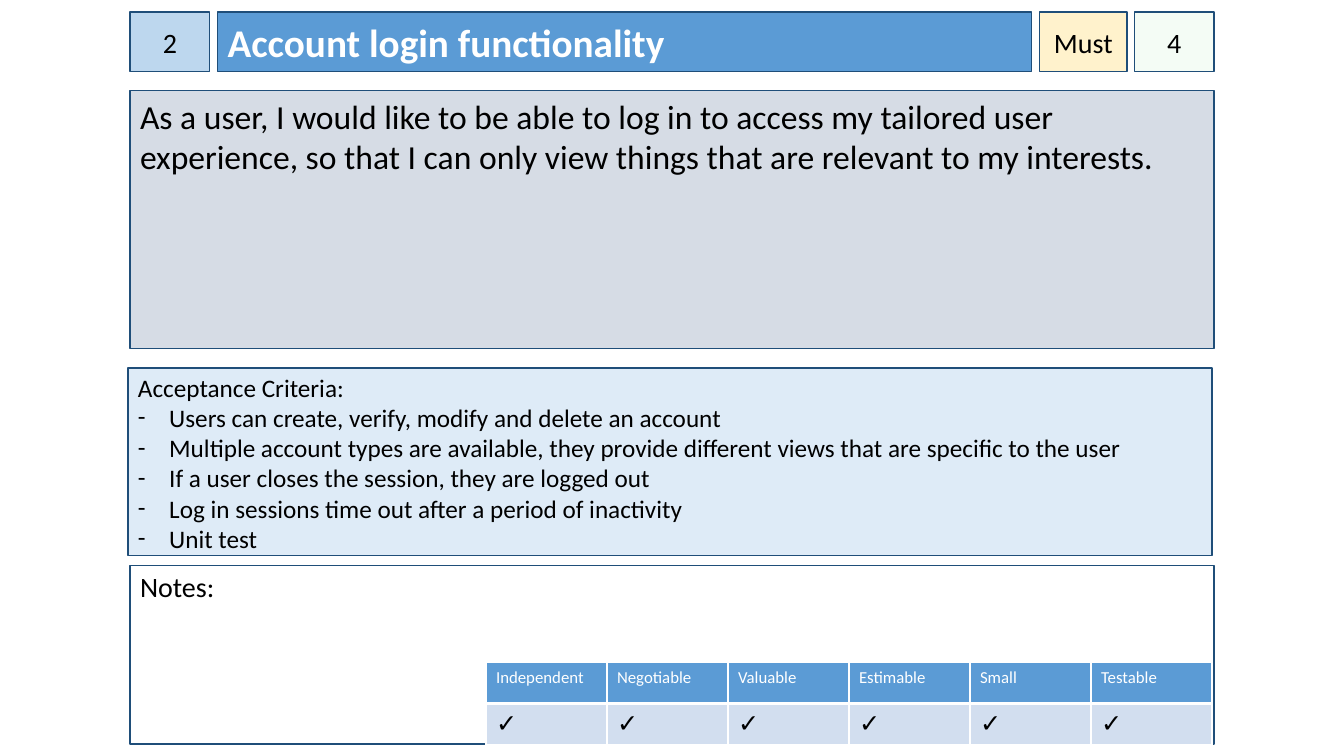
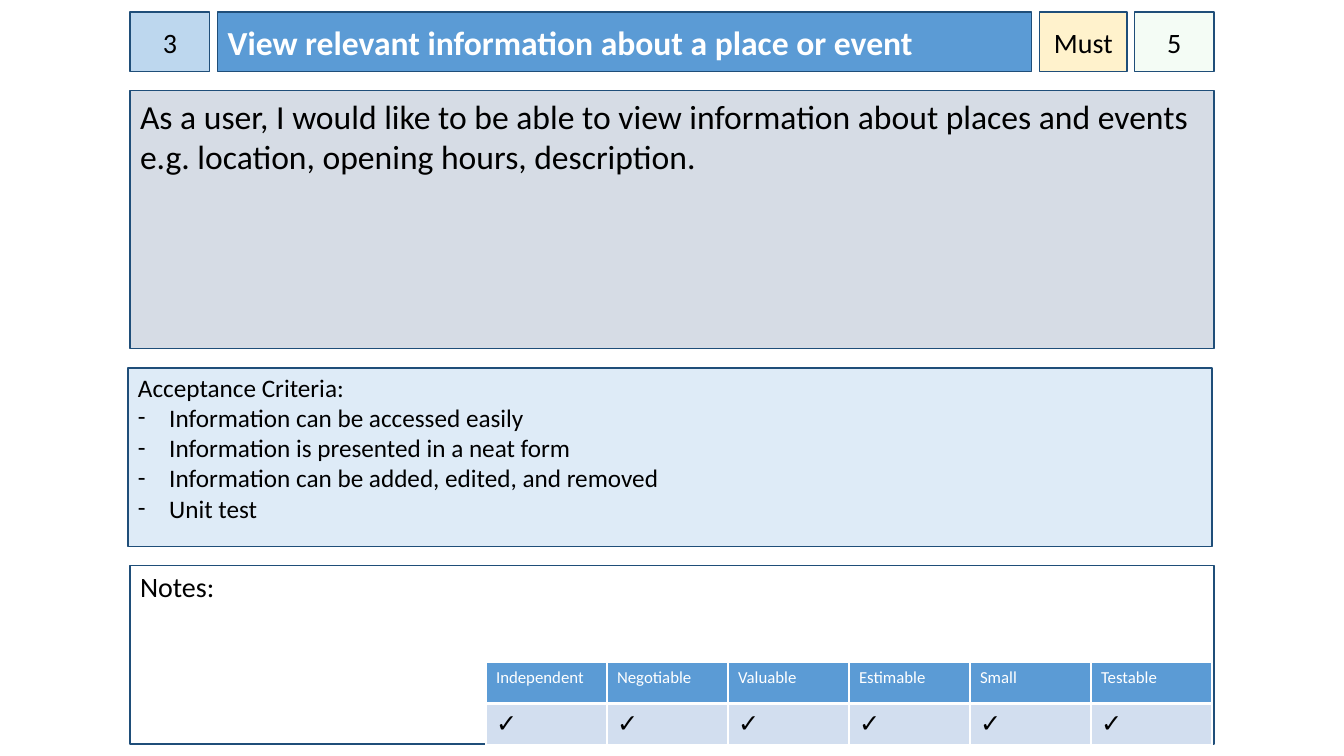
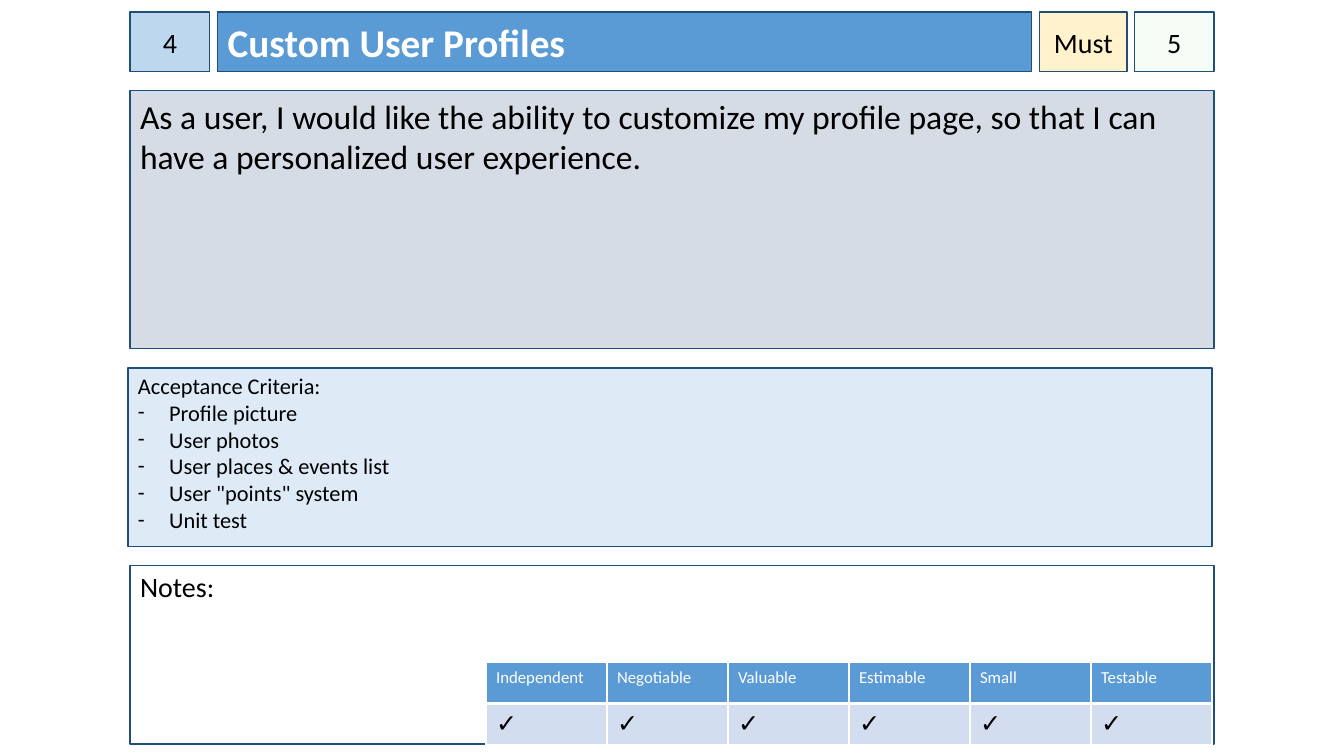
from dataclasses import dataclass

from lxml.etree import SubElement
from pptx import Presentation
from pptx.dml.color import RGBColor
from pptx.enum.shapes import MSO_SHAPE as Preset
from pptx.enum.text import MSO_ANCHOR as Anchor, PP_ALIGN as Align
from pptx.oxml.ns import qn
from pptx.util import Inches, Pt

FONT = "Calibri"
BLACK = RGBColor(0x00, 0x00, 0x00)
WHITE = RGBColor(0xFF, 0xFF, 0xFF)
NAVY = RGBColor(0x1F, 0x4E, 0x79)
BLUE = RGBColor(0x5B, 0x9B, 0xD5)
SKY = RGBColor(0xBD, 0xD7, 0xEE)
GREY = RGBColor(0xD6, 0xDC, 0xE5)
ICE = RGBColor(0xDE, 0xEB, 0xF7)
GREEN = RGBColor(0xCC, 0xF0, 0xCD)
CREAM = RGBColor(0xFF, 0xF2, 0xCC)
PALE = RGBColor(0xD2, 0xDE, 0xEF)

LEFT, WIDTH = 1.29, 10.75
TOP, BAND = 0.12, 0.59
TABLE_LEFT, TABLE_TOP = 4.82, 6.57
COLUMN, ROW = 1.2, 0.41
CHECKS = ("Independent", "Negotiable", "Valuable", "Estimable", "Small", "Testable")


@dataclass(frozen=True)
class Style:
    fill: RGBColor
    size: int
    color: RGBColor = BLACK
    bold: bool = False
    align: Align = Align.LEFT
    anchor: Anchor = Anchor.TOP
    side: float = 0.1
    inset_top: float = 0.05
    wrap: bool = True
    opacity: int = 100


@dataclass(frozen=True)
class Story:
    number: int
    title: str
    points: int
    text: str
    criteria: tuple[str, ...]
    title_size: int = 28
    criteria_size: int = 18
    criteria_height: float = 1.77
    priority: str = "Must"


STORIES = (
    Story(
        2, "Account login functionality", 4,
        "As a user, I would like to be able to log in to access my tailored user "
        "experience, so that I can only view things that are relevant to my interests.",
        (
            "Users can create, verify, modify and delete an account",
            "Multiple account types are available, they provide different views "
            "that are specific to the user",
            "If a user closes the session, they are logged out",
            "Log in sessions time out after a period of inactivity",
            "Unit test",
        ),
        criteria_height=1.86,
    ),
    Story(
        3, "View relevant information about a place or event", 5,
        "As a user, I would like to be able to view information about places and "
        "events e.g. location, opening hours, description.",
        (
            "Information can be accessed easily",
            "Information is presented in a neat form",
            "Information can be added, edited, and removed",
            "Unit test",
        ),
        title_size=24,
    ),
    Story(
        4, "Custom User Profiles", 5,
        "As a user, I would like the ability to customize my profile page, so that "
        "I can have a personalized user experience.",
        (
            "Profile picture",
            "User photos",
            "User places & events list",
            'User "points" system',
            "Unit test",
        ),
        criteria_size=16,
    ),
)


def apply(target, values: dict) -> None:
    for name, value in values.items():
        setattr(target, name, value)


def write(para, text: str, size: int, color: RGBColor, bold: bool = False) -> None:
    span = para.add_run()
    span.text = text
    apply(span.font, {"name": FONT, "size": Pt(size), "bold": bold})
    span.font.color.rgb = color


def add_dash(para) -> None:
    props = para._p.get_or_add_pPr()
    props.set("marL", str(Inches(0.31)))
    props.set("indent", str(Inches(-0.31)))
    SubElement(props, qn("a:buFont"), typeface=FONT)
    SubElement(props, qn("a:buChar"), char="-")


def add_box(page, left: float, top: float, width: float, height: float,
            style: Style, text: str, bullets: tuple[str, ...] = ()) -> None:
    box = page.shapes.add_shape(
        Preset.RECTANGLE, Inches(left), Inches(top), Inches(width), Inches(height))
    box.shadow.inherit = False
    box.fill.solid()
    box.fill.fore_color.rgb = style.fill
    if style.opacity < 100:
        color = box.fill._xPr.find(qn("a:solidFill"))[0]
        SubElement(color, qn("a:alpha"), val=str(style.opacity * 1000))
    box.line.color.rgb = NAVY
    box.line.width = Pt(1)
    frame = box.text_frame
    apply(frame, {
        "word_wrap": style.wrap,
        "vertical_anchor": style.anchor,
        "margin_left": Inches(style.side),
        "margin_right": Inches(style.side),
        "margin_top": Inches(style.inset_top),
        "margin_bottom": Inches(0.05),
    })
    for index, line in enumerate((text, *bullets)):
        para = frame.add_paragraph() if index else frame.paragraphs[0]
        para.alignment = style.align
        if index:
            add_dash(para)
        write(para, line, style.size, style.color, style.bold)


def add_borders(cell, bottom: int) -> None:
    props = cell._tc.get_or_add_tcPr()
    for side, width in (("L", 1), ("R", 1), ("T", 1), ("B", bottom)):
        line = SubElement(props, qn(f"a:ln{side}"), w=str(Pt(width)))
        fill = SubElement(line, qn("a:solidFill"))
        SubElement(fill, qn("a:srgbClr"), val=str(WHITE))


def add_checklist(page) -> None:
    rows = (
        (CHECKS, 12, WHITE, BLUE, 3),
        (("✓",) * len(CHECKS), 18, BLACK, PALE, 1),
    )
    table = page.shapes.add_table(
        len(rows), len(CHECKS), Inches(TABLE_LEFT), Inches(TABLE_TOP),
        Inches(COLUMN * len(CHECKS)), Inches(ROW * len(rows))).table
    for column in table.columns:
        column.width = Inches(COLUMN)
    for row, (labels, size, color, fill, bottom) in enumerate(rows):
        table.rows[row].height = Inches(ROW)
        for index, label in enumerate(labels):
            cell = table.cell(row, index)
            add_borders(cell, bottom)
            cell.fill.solid()
            cell.fill.fore_color.rgb = fill
            write(cell.text_frame.paragraphs[0], label, size, color)


def add_badge(page, left: float, width: float, fill: RGBColor, text: str,
              wrap: bool = True, opacity: int = 100) -> None:
    style = Style(fill, 20, align=Align.CENTER, anchor=Anchor.MIDDLE,
                  side=0, wrap=wrap, opacity=opacity)
    add_box(page, left, TOP, width, BAND, style, text)


def add_story(deck, story: Story) -> None:
    page = deck.slides.add_slide(deck.slide_layouts[6])
    title = Style(BLUE, story.title_size, WHITE, bold=True, anchor=Anchor.MIDDLE)
    criteria = Style(ICE, story.criteria_size, inset_top=0.04)
    add_badge(page, LEFT, 0.79, SKY, str(story.number))
    add_box(page, 2.16, TOP, 8.07, BAND, title, story.title)
    add_box(page, LEFT, 0.9, WIDTH, 2.56, Style(GREY, 24), story.text)
    add_box(page, 1.27, 3.65, WIDTH, story.criteria_height, criteria,
            "Acceptance Criteria:", story.criteria)
    add_badge(page, 11.25, 0.79, GREEN, str(story.points), opacity=20)
    add_badge(page, 10.31, 0.87, CREAM, story.priority, wrap=False)
    add_box(page, LEFT, 5.61, WIDTH, 1.77, Style(WHITE, 20, inset_top=0.04), "Notes:")
    add_checklist(page)


def main() -> None:
    deck = Presentation()
    apply(deck, {"slide_width": Inches(13.33), "slide_height": Inches(7.5)})
    for story in STORIES:
        add_story(deck, story)
    deck.save("out.pptx")


if __name__ == "__main__":
    main()
